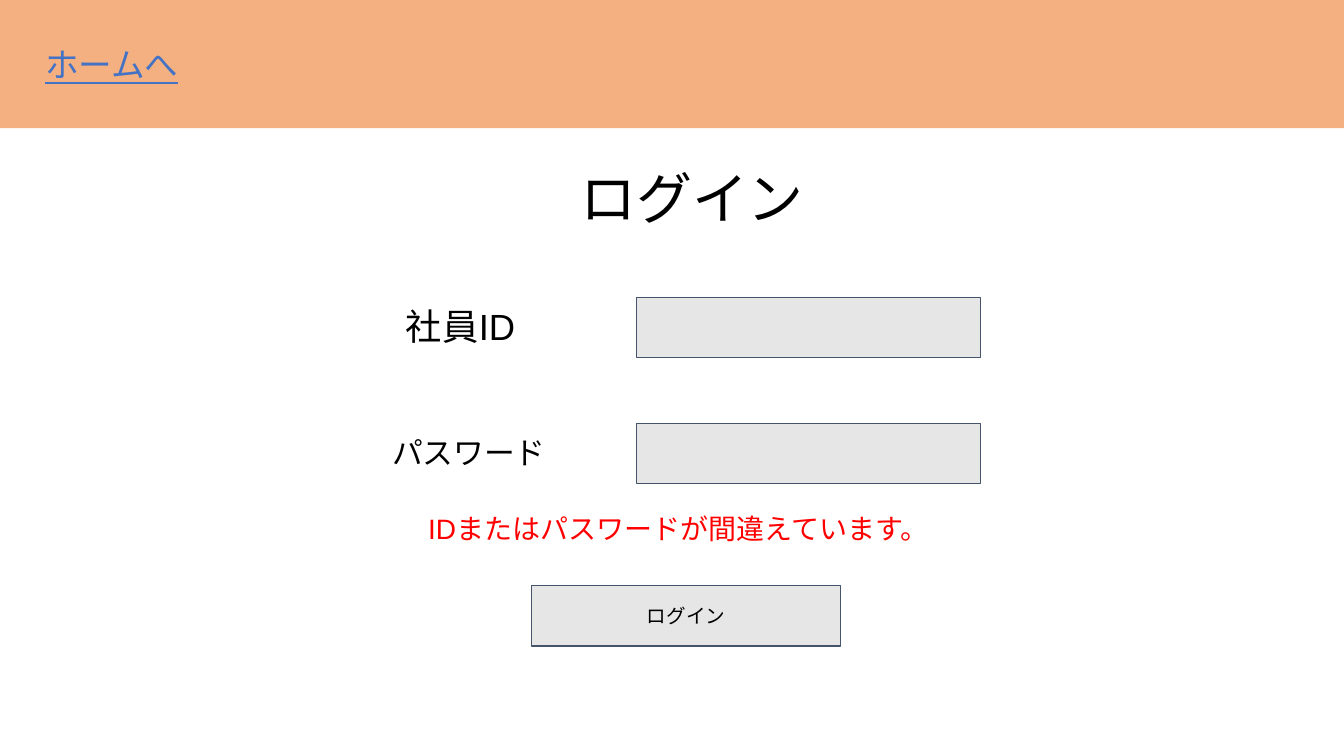
"""Build the login screen slide with its banner, form fields, error message and button."""
from pptx import Presentation
from pptx.dml.color import RGBColor
from pptx.enum.shapes import MSO_SHAPE
from pptx.enum.text import MSO_ANCHOR, MSO_AUTO_SIZE, PP_ALIGN
from pptx.util import Cm, Pt

SLIDE_WIDTH, SLIDE_HEIGHT = 33.87, 19.05
BANNER_HEIGHT = 3.23
INSET = 0.25
BLACK, RED, BLUE = "000000", "FF0000", "4472C4"
ORANGE, GREY, SLATE = "F4B081", "E7E6E6", "44546A"

TITLE = ("ログイン", (9.63, 3.86, 15.62, 2.24), 40)
HOME_LINK = ("ホームへ", (0.89, 0.99, 4.67, 1.27), 24)
LABELS = [
    ("社員ID", (9.98, 7.42, 4.42, 1.63), 26, BLACK),
    ("パスワード", (9.63, 10.69, 5.11, 1.45), 22, BLACK),
    ("IDまたはパスワードが間違えています。", (10.54, 12.65, 15.14, 1.37), 20, RED),
]
FIELD_TOPS = [7.49, 10.67]
FIELD_LEFT, FIELD_WIDTH, FIELD_HEIGHT = 16.05, 8.66, 1.52
BUTTON = ("ログイン", (13.39, 14.76, 7.8, FIELD_HEIGHT), 14)


def color(value):
    return RGBColor.from_string(value)


def write(shape, text, size, ink, align=PP_ALIGN.LEFT, anchor=MSO_ANCHOR.TOP, margin=INSET):
    frame = shape.text_frame
    frame.text = text
    frame.word_wrap = True
    frame.auto_size = MSO_AUTO_SIZE.NONE
    frame.vertical_anchor = anchor
    frame.margin_left = frame.margin_right = Cm(INSET)
    frame.margin_top = frame.margin_bottom = Cm(margin)
    para = frame.paragraphs[0]
    para.alignment = align
    span = para.runs[0]
    span.font.name = "Arial"
    span.font.size = Pt(size)
    span.font.color.rgb = color(ink)
    return span


def add_label(slide, text, place, size, ink, margin=INSET):
    box = slide.shapes.add_textbox(*map(Cm, place))
    return write(box, text, size, ink, margin=margin)


def add_panel(slide, place, fill, line=None):
    panel = slide.shapes.add_shape(MSO_SHAPE.RECTANGLE, *map(Cm, place))
    panel.shadow.inherit = False
    panel.fill.solid()
    panel.fill.fore_color.rgb = color(fill)
    if line:
        panel.line.color.rgb = color(line)
        panel.line.width = Pt(0.75)
    else:
        panel.line.fill.background()
    return panel


def main():
    deck = Presentation()
    deck.slide_width, deck.slide_height = Cm(SLIDE_WIDTH), Cm(SLIDE_HEIGHT)
    slide = deck.slides.add_slide(deck.slide_layouts[5])

    add_panel(slide, (0, 0, SLIDE_WIDTH, BANNER_HEIGHT), ORANGE)
    text, place, size = TITLE
    title = slide.shapes.title
    title.left, title.top, title.width, title.height = map(Cm, place)
    write(title, text, size, BLACK, PP_ALIGN.CENTER)

    home = add_label(slide, *HOME_LINK, BLUE, margin=INSET / 2)
    home.font.underline = True
    for label in LABELS:
        add_label(slide, *label)

    for top in FIELD_TOPS:
        add_panel(slide, (FIELD_LEFT, top, FIELD_WIDTH, FIELD_HEIGHT), GREY, SLATE)
    text, place, size = BUTTON
    button = add_panel(slide, place, GREY, SLATE)
    write(button, text, size, BLACK, PP_ALIGN.CENTER, MSO_ANCHOR.MIDDLE)

    deck.save("out.pptx")


if __name__ == "__main__":
    main()
